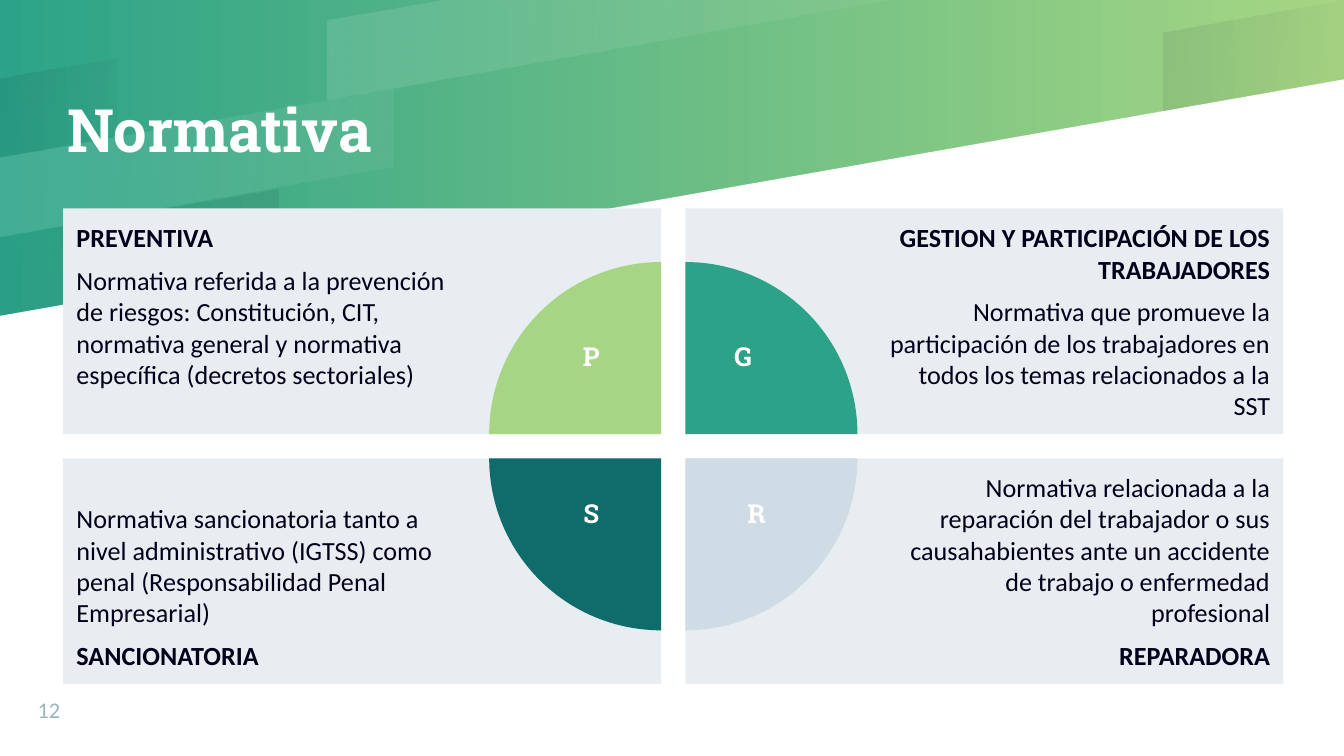
from lxml import etree
from pptx import Presentation
from pptx.dml.color import RGBColor
from pptx.enum.shapes import MSO_SHAPE as SHAPE
from pptx.enum.text import MSO_ANCHOR as ANCHOR, PP_ALIGN as ALIGN
from pptx.oxml import parse_xml
from pptx.oxml.ns import nsdecls, qn
from pptx.util import Inches, Pt

W, H = 10, 5.625
BODY, HEAD = "Calibri", "Roboto Slab"
INK, WHITE, CARD, MUTED = "00001A", "FFFFFF", "E8EDF1", "9EB3C2"
TEAL, LIME = "2CA388", "A6D683"

# Two columns and two rows of cards with one gap between them
LEFT, TOP, CARD_W, CARD_H, GAP = 0.47, 1.55, 4.45, 1.68, 0.18
RADIUS = 1.28

# Points, colour, opacity at the start and at the end
BANDS = [
    ([(3.32, 0), (2.44, 0.15), (2.44, 0.74), (6.65, 0)], WHITE, 12, 5),
    ([(0, 0.58), (0, 1.17), (0.87, 1.02), (0.87, 0.43)], INK, 8, 2),
    ([(0, 1.76), (0, 2.35), (2.07, 1.99), (2.07, 1.4)], INK, 2, 8),
    ([(10, 0), (9.99, 0), (8.66, 0.24), (8.66, 0.82), (10, 0.59)], INK, 8, 2),
    ([(0, 1.17), (0, 1.76), (2.93, 1.24), (2.93, 0.66)], WHITE, 12, 5),
]

# Column, row, heading, text, letter, centre of the letter, colour
CARDS = [
    (0, 0, "PREVENTIVA",
     "Normativa referida a la prevención de riesgos: Constitución, CIT, "
     "normativa general y normativa específica (decretos sectoriales)",
     "P", (4.4, 2.72), LIME),
    (1, 0, "GESTION Y PARTICIPACIÓN DE LOS TRABAJADORES",
     "Normativa que promueve la participación de los trabajadores en "
     "todos los temas relacionados a la SST",
     "G", (5.53, 2.72), TEAL),
    (0, 1, "SANCIONATORIA",
     "Normativa sancionatoria tanto a nivel administrativo (IGTSS) como "
     "penal (Responsabilidad Penal Empresarial)",
     "S", (4.4, 3.89), "106B6B"),
    (1, 1, "REPARADORA",
     "Normativa relacionada a la reparación del trabajador o sus "
     "causahabientes ante un accidente de trabajo o enfermedad profesional",
     "R", (5.63, 3.89), "CFDCE6"),
]


def rgb(value):
    return RGBColor.from_string(value)


def box(x, y, w, h):
    return [Inches(v) for v in (x, y, w, h)]


def paint(sp, color):
    sp.shadow.inherit = False
    sp.fill.solid()
    sp.fill.fore_color.rgb = rgb(color)
    sp.line.fill.background()


def gradient(fill, colors, angle, opacities=()):
    fill.gradient()
    fill.gradient_angle = angle
    for stop, color in zip(fill.gradient_stops, colors):
        stop.color.rgb = rgb(color)
    for node, opacity in zip(fill._xPr.iter(qn("a:srgbClr")), opacities):
        etree.SubElement(node, qn("a:alpha")).set("val", str(opacity * 1000))


def polygon(slide, points):
    start, *rest = [(Inches(x), Inches(y)) for x, y in points]
    builder = slide.shapes.build_freeform(*start, scale=1.0)
    builder.add_line_segments(rest, close=True)
    return builder.convert_to_shape()


def frame(sp, insets, anchor, wrap=True):
    tf = sp.text_frame
    sides = ("margin_left", "margin_top", "margin_right", "margin_bottom")
    values = dict(zip(sides, map(Inches, insets)), word_wrap=wrap,
                  vertical_anchor=anchor)
    for name, value in values.items():
        setattr(tf, name, value)
    return tf


def write(p, text, font=BODY, size=14, color=INK, bold=False, **layout):
    r = p.add_run()
    r.text = text
    for name, value in dict(name=font, size=Pt(size), bold=bold).items():
        setattr(r.font, name, value)
    r.font.color.rgb = rgb(color)
    for name, value in layout.items():
        setattr(p, name, value)
    return r


def add_backdrop(slide):
    gradient(slide.background.fill, (TEAL, LIME), 0)
    paint(polygon(slide, [(0, H), (W, H), (W, 0.59), (0, 2.35)]), WHITE)
    for points, color, first, last in BANDS:
        sp = polygon(slide, points)
        paint(sp, color)
        gradient(sp.fill, (color, color), 350, (first, last))


def add_title(slide, text, x, y, w, h):
    sp = slide.shapes.add_textbox(*box(x, y, w, h))
    tf = frame(sp, (0, 0, 0, 0), ANCHOR.MIDDLE)
    r = write(tf.paragraphs[0], text, HEAD, 32, WHITE, True, line_spacing=0.9)
    shadow = parse_xml(
        f'<a:effectLst {nsdecls("a")}><a:outerShdw blurRad="38100" dist="28575" '
        'dir="3000000"><a:srgbClr val="00001A"><a:alpha val="30000"/>'
        '</a:srgbClr></a:outerShdw></a:effectLst>')
    r.font._element.find(qn("a:solidFill")).addnext(shadow)


def add_page_number(slide, number, x, y, w, h):
    sp = slide.shapes.add_textbox(*box(x, y, w, h))
    tf = frame(sp, (0, 0, 0, 0), ANCHOR.BOTTOM)
    write(tf.paragraphs[0], number, size=12, color=MUTED)


def add_card(slide, col, row, heading, text, x, y, w, h):
    """Heading on the outer edge, text kept clear of the quarter circle."""
    sp = slide.shapes.add_shape(SHAPE.RECTANGLE, *box(x, y, w, h))
    paint(sp, CARD)
    insets = (1.5, 0.1, 0.1, 0.1) if col else (0.1, 0.1, 1.5, 0.1)
    tf = frame(sp, insets, ANCHOR.BOTTOM if row else ANCHOR.TOP)
    lines = [(heading, True), (text, False)]
    first, second = lines[::-1] if row else lines
    align = ALIGN.RIGHT if col else ALIGN.LEFT
    write(tf.paragraphs[0], first[0], bold=first[1], alignment=align)
    write(tf.add_paragraph(), second[0], bold=second[1], alignment=align,
          space_before=Pt(6), space_after=Pt(6))


def add_quarter(slide, col, row, color, cx, cy):
    """Quarter circle whose right angle sits at the card's inner corner."""
    sp = slide.shapes.add_shape(
        SHAPE.PIE, *box(cx - RADIUS, cy - RADIUS, 2 * RADIUS, 2 * RADIUS))
    paint(sp, color)
    sp.adjustments[0], sp.adjustments[1] = 108, 162
    sp.rotation = 90 * (3 - col if row else col)


def add_letter(slide, letter, cx, cy, w=0.42, h=0.48):
    sp = slide.shapes.add_textbox(*box(cx - w / 2, cy - h / 2, w, h))
    tf = frame(sp, (0.1, 0.05, 0.1, 0.05), ANCHOR.TOP, wrap=False)
    write(tf.paragraphs[0], letter, HEAD, 14, WHITE, True,
          alignment=ALIGN.CENTER)


def add_matrix(slide, x, y, w, h, gap):
    for col, row, heading, text, *_ in CARDS:
        add_card(slide, col, row, heading, text,
                 x + col * (w + gap), y + row * (h + gap), w, h)
    for col, row, _, _, _, _, color in CARDS:
        add_quarter(slide, col, row, color, x + w + col * gap, y + h + row * gap)
    for *_, letter, center, _ in CARDS:
        add_letter(slide, letter, *center)


def main():
    prs = Presentation()
    prs.slide_width, prs.slide_height = Inches(W), Inches(H)
    slide = prs.slides.add_slide(prs.slide_layouts[6])
    add_backdrop(slide)
    add_title(slide, "Normativa", 0.5, 0, 0.6 * W, 1.98)
    add_page_number(slide, "12", 0.28, 5.11, 0.53, 0.27)
    add_matrix(slide, LEFT, TOP, CARD_W, CARD_H, GAP)
    prs.save("out.pptx")


if __name__ == "__main__":
    main()
